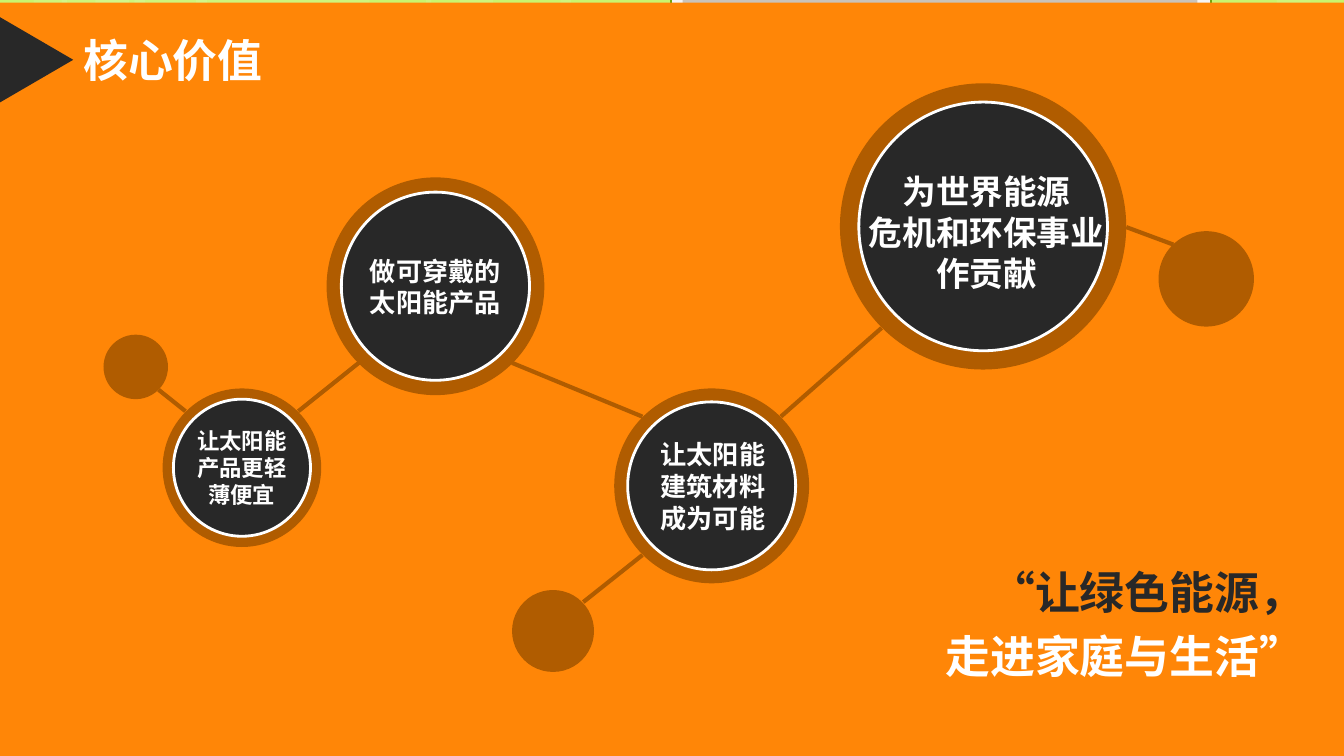
from dataclasses import dataclass

from pptx import Presentation
from pptx import util as u
from pptx.dml.color import RGBColor
from pptx.enum import shapes, text
from pptx.oxml.ns import qn
from lxml import etree

PX = 9144
WHITE, DARK, ORANGE, BROWN = "FFFFFF", "282828", "FF8607", "B05C00"
CJK = "Noto Sans CJK SC"
KIND = shapes.MSO_SHAPE
ALIGN = text.PP_ALIGN
ANCHOR = text.MSO_ANCHOR


@dataclass(frozen=True)
class Area:
    left: int
    top: int
    width: int
    height: int

    def emu(self) -> tuple[int, ...]:
        return tuple(px(side) for side in (self.left, self.top, self.width, self.height))


@dataclass(frozen=True)
class TextStyle:
    size: int
    leading: float
    color: str
    align: int
    anchor: int = ANCHOR.TOP
    wrap: bool = True
    font: str = CJK


@dataclass(frozen=True)
class Band:
    left: int
    width: int


@dataclass(frozen=True)
class Hub:
    left: int
    top: int
    size: int
    ring: int
    label: str
    label_left: int
    label_width: int
    label_drop: int
    font_size: int
    leading: float


@dataclass(frozen=True)
class Dot:
    left: int
    top: int
    size: int


@dataclass(frozen=True)
class Link:
    start: tuple[int, int]
    end: tuple[int, int]


BANDS = [
    Band(100, 175), Band(0, 50), Band(25, 83),
    Band(146, 175), Band(46, 50), Band(71, 83),
    Band(725, 175), Band(950, 50), Band(892, 83),
    Band(417, 308), Band(317, 50), Band(342, 83),
]
HUBS = [
    Hub(121, 289, 118, 8, "让太阳能\n产品更轻\n薄便宜", 132, 96, 0, 12, 14.5),
    Hub(243, 132, 162, 11, "做可穿戴的\n太阳能产品", 260, 128, 0, 14, 17),
    Hub(457, 289, 145, 10, "让太阳能\n建筑材料成为可能", 477, 107, 0, 14, 17),
    Hub(625, 62, 213, 14, "为世界能源\n危机和环保事业\n作贡献", 629, 210, 4, 18, 22),
]
DOTS = [Dot(77, 249, 48), Dot(381, 439, 61), Dot(862, 172, 71)]
LINKS = [
    Link((222, 306), (267, 270)),
    Link((381, 270), (478, 310)),
    Link((581, 310), (656, 244)),
    Link((118, 290), (138, 306)),
    Link((434, 448), (478, 413)),
    Link((838, 169), (873, 182)),
]


def px(length: int) -> int:
    return length * PX


def rgb(value: str) -> RGBColor:
    return RGBColor.from_string(value)


def draw_shape(page, kind, area: Area, fill: str, outline: str = "", weight: float = 0):
    shape = page.shapes.add_shape(kind, *area.emu())
    shape.shadow.inherit = False
    shape.fill.solid()
    shape.fill.fore_color.rgb = rgb(fill)
    if outline:
        shape.line.color.rgb = rgb(outline)
        shape.line.width = u.Pt(weight)
    else:
        shape.line.fill.background()
    return shape


def draw_band(page, band: Band) -> None:
    shape = draw_shape(page, KIND.RECTANGLE, Area(band.left, 0, band.width, 562), WHITE)
    color = shape._element.spPr.find(qn("a:solidFill")).find(qn("a:srgbClr"))
    etree.SubElement(color, qn("a:alpha")).set("val", "10000")


def write_text(box, content: str, style: TextStyle) -> None:
    frame = box.text_frame
    frame.text = content
    frame.word_wrap = style.wrap
    frame.auto_size = text.MSO_AUTO_SIZE.NONE
    frame.vertical_anchor = style.anchor
    for para in frame.paragraphs:
        para.alignment = style.align
        para.line_spacing = u.Pt(style.leading)
        for span in para.runs:
            span.font.name = style.font
            span.font.size = u.Pt(style.size)
            span.font.bold = True
            span.font.color.rgb = rgb(style.color)
            east_asian = etree.SubElement(span.font._element, qn("a:ea"))
            east_asian.set("typeface", CJK)


def draw_text(page, area: Area, content: str, style: TextStyle) -> None:
    write_text(page.shapes.add_textbox(*area.emu()), content, style)


def draw_title(page, area: Area, content: str) -> None:
    title = page.shapes.title
    title.left, title.top, title.width, title.height = area.emu()
    style = TextStyle(24, 29, WHITE, ALIGN.LEFT, wrap=False, font="Roboto Condensed")
    write_text(title, content, style)
    page.shapes._spTree.append(title._element)


def draw_hub(page, hub: Hub) -> None:
    draw_shape(page, KIND.OVAL, Area(hub.left, hub.top, hub.size, hub.size), BROWN)
    core = hub.size - 2 * hub.ring
    core_area = Area(hub.left + hub.ring, hub.top + hub.ring, core, core)
    draw_shape(page, KIND.OVAL, core_area, DARK, WHITE, 1.5)
    label_area = Area(hub.label_left, hub.top + hub.label_drop, hub.label_width, hub.size)
    style = TextStyle(hub.font_size, hub.leading, WHITE, ALIGN.CENTER, ANCHOR.MIDDLE)
    draw_text(page, label_area, hub.label, style)


def draw_dot(page, dot: Dot) -> None:
    draw_shape(page, KIND.OVAL, Area(dot.left, dot.top, dot.size, dot.size), BROWN)


def draw_link(page, link: Link) -> None:
    ends = [px(value) for value in link.start + link.end]
    connector = page.shapes.add_connector(shapes.MSO_CONNECTOR.STRAIGHT, *ends)
    connector.line.color.rgb = rgb(BROWN)
    connector.line.width = u.Pt(2.25)
    etree.SubElement(connector._element.spPr, qn("a:effectLst"))


def main() -> None:
    deck = Presentation()
    deck.slide_width = px(1000)
    deck.slide_height = deck.slide_width * 9 // 16
    page = deck.slides.add_slide(deck.slide_layouts[5])
    page.background.fill.solid()
    page.background.fill.fore_color.rgb = rgb("C3F35F")

    for band in BANDS:
        draw_band(page, band)
    draw_shape(page, KIND.RECTANGLE, Area(499, -2, 402, 514), "F5F5F5", "74A510", 1.25)
    draw_shape(page, KIND.RECTANGLE, Area(508, -2, 383, 190), "C9C3BB")
    draw_shape(page, KIND.RECTANGLE, Area(0, 2, 1000, 562), ORANGE)
    draw_title(page, Area(52, 19, 155, 51), "核心价值")
    marker = draw_shape(page, KIND.ISOSCELES_TRIANGLE, Area(-5, 17, 64, 55), DARK)
    marker.rotation = 90

    for hub in HUBS:
        draw_hub(page, hub)
    for dot in DOTS:
        draw_dot(page, dot)
    for link in LINKS:
        draw_link(page, link)

    draw_text(page, Area(685, 415, 295, 50), "“让绿色能源，", TextStyle(24, 29, DARK, ALIGN.RIGHT))
    draw_text(page, Area(685, 463, 295, 50), "走进家庭与生活”", TextStyle(24, 29, WHITE, ALIGN.RIGHT))
    deck.save("out.pptx")


if __name__ == "__main__":
    main()
